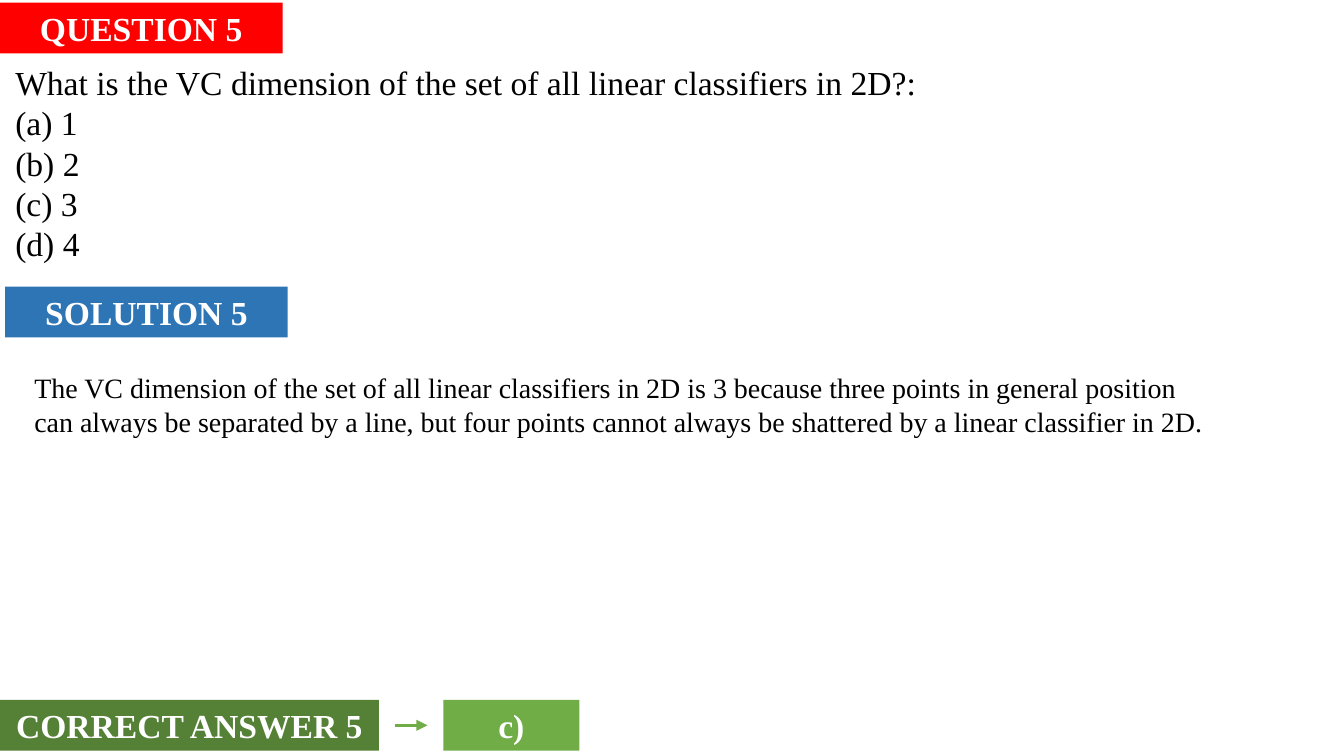
from dataclasses import dataclass

from lxml.etree import SubElement
from pptx import Presentation
from pptx.dml.color import RGBColor
from pptx.enum.shapes import MSO_CONNECTOR, MSO_SHAPE
from pptx.enum.text import MSO_ANCHOR, MSO_AUTO_SIZE, PP_ALIGN
from pptx.oxml.ns import qn
from pptx.shapes.autoshape import Shape
from pptx.slide import Slide
from pptx.util import Cm, Pt


@dataclass(frozen=True)
class Theme:
    font: str = "Times New Roman"
    red: str = "FF0000"
    blue: str = "2E75B5"
    dark_green: str = "548135"
    green: str = "70AD47"
    white: str = "FFFFFF"
    black: str = "000000"
    large: float = 18
    body: float = 15
    arrow_width: float = 1.5


@dataclass(frozen=True)
class Box:
    left: float
    top: float
    width: float
    height: float

    @property
    def right(self) -> float:
        return self.left + self.width

    @property
    def middle(self) -> float:
        return self.top + self.height / 2


@dataclass(frozen=True)
class Banner:
    label: str
    box: Box
    fill: str


@dataclass(frozen=True)
class Passage:
    lines: tuple[str, ...]
    box: Box
    size: float


THEME = Theme()
BANNER_HEIGHT = 0.96
HEADING_WIDTH = 5.34
ANSWER_TOP = 13.23
ARROW_GAP = 0.3

QUESTION_HEADING = Banner(
    "QUESTION 5", Box(0, 0.05, HEADING_WIDTH, BANNER_HEIGHT), THEME.red
)
SOLUTION_HEADING = Banner(
    "SOLUTION 5", Box(0.1, 5.42, HEADING_WIDTH, BANNER_HEIGHT), THEME.blue
)
ANSWER_HEADING = Banner(
    "CORRECT ANSWER 5", Box(0, ANSWER_TOP, 7.16, BANNER_HEIGHT), THEME.dark_green
)
ANSWER = Banner("c)", Box(8.38, ANSWER_TOP, 2.57, BANNER_HEIGHT), THEME.green)

QUESTION = Passage(
    (
        "What is the VC dimension of the set of all linear classifiers in 2D?:",
        "(a) 1",
        "(b) 2",
        "(c) 3",
        "(d) 4",
    ),
    Box(0.1, 1.07, 24.94, 4.04),
    THEME.large,
)
SOLUTION = Passage(
    (
        "The VC dimension of the set of all linear classifiers in 2D is 3 "
        "because three points in general position can always be separated by "
        "a line, but four points cannot always be shattered by a linear "
        "classifier in 2D.",
    ),
    Box(0.46, 6.91, 22.68, 1.47),
    THEME.body,
)


def place(shape: Shape, box: Box) -> None:
    shape.left, shape.top = Cm(box.left), Cm(box.top)
    shape.width, shape.height = Cm(box.width), Cm(box.height)


def write(shape: Shape, lines: tuple[str, ...], size: float, color: str,
          bold: bool, align: PP_ALIGN) -> None:
    frame = shape.text_frame
    frame.word_wrap = True
    frame.auto_size = MSO_AUTO_SIZE.NONE
    frame.vertical_anchor = MSO_ANCHOR.TOP
    frame.margin_left = frame.margin_right = Cm(0.19)
    frame.margin_top = frame.margin_bottom = Cm(0.1)
    for index, line in enumerate(lines):
        paragraph = frame.add_paragraph() if index else frame.paragraphs[0]
        paragraph.alignment = align
        run = paragraph.add_run()
        run.text = line
        run.font.name = THEME.font
        run.font.size = Pt(size)
        run.font.bold = bold
        run.font.color.rgb = RGBColor.from_string(color)


def format_banner(shape: Shape, banner: Banner) -> None:
    place(shape, banner.box)
    shape.fill.solid()
    shape.fill.fore_color.rgb = RGBColor.from_string(banner.fill)
    shape.line.fill.background()
    write(shape, (banner.label,), THEME.large, THEME.white, True, PP_ALIGN.CENTER)


def add_banner(slide: Slide, banner: Banner) -> None:
    shape = slide.shapes.add_shape(MSO_SHAPE.RECTANGLE, 0, 0, 0, 0)
    shape.shadow.inherit = False
    format_banner(shape, banner)


def add_passage(slide: Slide, passage: Passage) -> None:
    shape = slide.shapes.add_textbox(0, 0, 0, 0)
    place(shape, passage.box)
    write(shape, passage.lines, passage.size, THEME.black, False, PP_ALIGN.LEFT)


def add_arrow(slide: Slide, source: Box, target: Box) -> None:
    arrow = slide.shapes.add_connector(
        MSO_CONNECTOR.STRAIGHT,
        Cm(source.right + ARROW_GAP), Cm(source.middle),
        Cm(target.left - ARROW_GAP), Cm(target.middle),
    )
    arrow.line.color.rgb = RGBColor.from_string(THEME.green)
    arrow.line.width = Pt(THEME.arrow_width)
    line_properties = arrow._element.spPr.find(qn("a:ln"))
    SubElement(line_properties, qn("a:tailEnd"), type="triangle")
    SubElement(arrow._element.spPr, qn("a:effectLst"))


def main() -> None:
    presentation = Presentation()
    presentation.slide_width = Cm(25.4)
    presentation.slide_height = Cm(14.29)
    slide = presentation.slides.add_slide(presentation.slide_layouts[5])

    format_banner(slide.shapes.title, QUESTION_HEADING)
    add_passage(slide, QUESTION)
    add_banner(slide, SOLUTION_HEADING)
    add_banner(slide, ANSWER_HEADING)
    add_passage(slide, SOLUTION)
    add_banner(slide, ANSWER)
    add_arrow(slide, ANSWER_HEADING.box, ANSWER.box)

    presentation.save("out.pptx")


if __name__ == "__main__":
    main()
